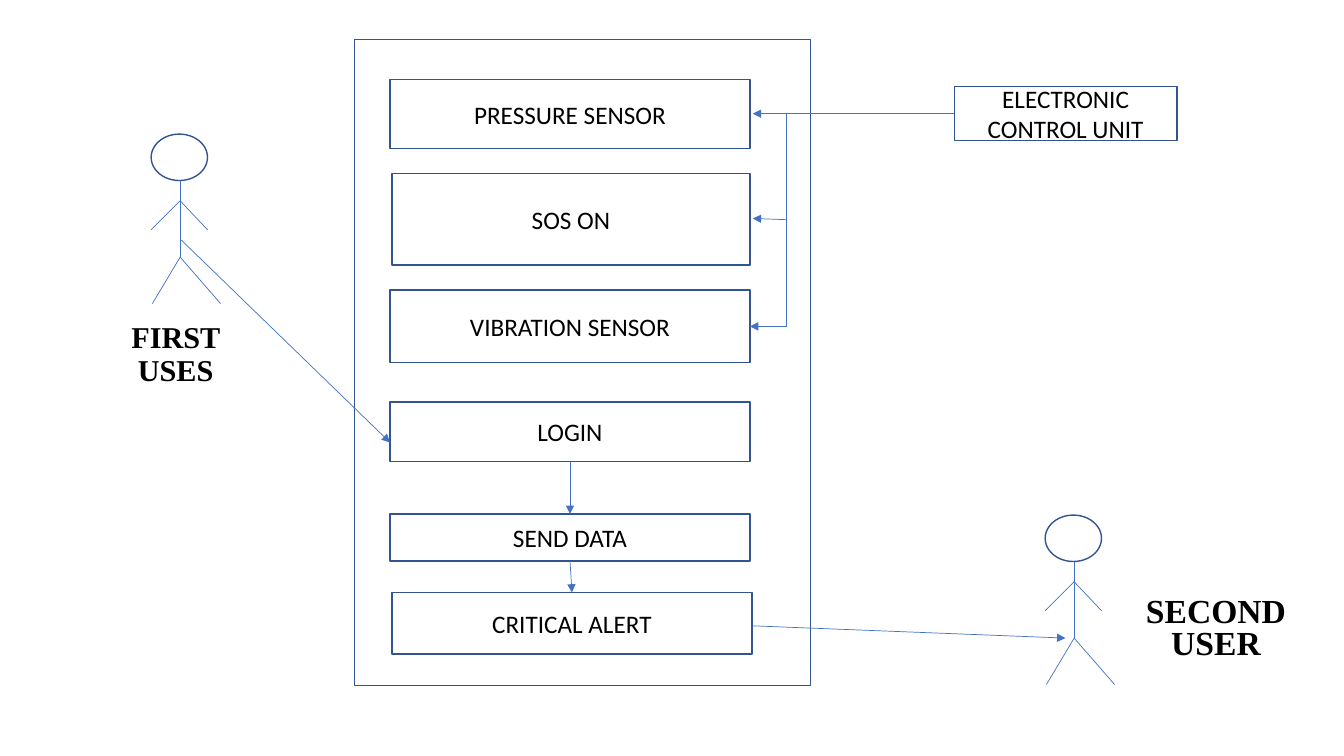
from dataclasses import dataclass
from lxml import etree
from pptx import Presentation
from pptx.dml.color import RGBColor
from pptx.enum.shapes import MSO_CONNECTOR as Link, MSO_SHAPE as Shape
from pptx.enum.text import MSO_ANCHOR as Anchor, MSO_AUTO_SIZE as AutoSize, PP_ALIGN as Align
from pptx.oxml.ns import qn
from pptx.util import Cm, Pt


@dataclass(frozen=True)
class Theme:
    paper: RGBColor = RGBColor(0xFF, 0xFF, 0xFF)
    ink: RGBColor = RGBColor(0, 0, 0)
    outline: RGBColor = RGBColor(0x32, 0x54, 0x91)
    wire: RGBColor = RGBColor(0x44, 0x72, 0xC4)
    outline_width: float = 1
    wire_width: float = 0.5
    step_font: str = "Calibri"
    actor_font: str = "Times New Roman"
    step_size: float = 18
    first_size: float = 21.6
    second_size: float = 24


THEME = Theme()
TOP, LEFT, BOTTOM, RIGHT = range(4)


def write(frame, text, font, size, bold=False, anchor=Anchor.MIDDLE):
    frame.word_wrap = True
    frame.auto_size = AutoSize.NONE
    frame.vertical_anchor = anchor
    para = frame.paragraphs[0]
    para.alignment = Align.CENTER
    span = para.add_run()
    span.text = text
    span.font.name = font
    span.font.size = Pt(size)
    span.font.bold = bold
    span.font.color.rgb = THEME.ink
    return para


def add_outlined(page, kind, box, text=None):
    shape = page.shapes.add_shape(kind, *map(Cm, box))
    shape.shadow.inherit = False
    shape.fill.solid()
    shape.fill.fore_color.rgb = THEME.paper
    shape.line.color.rgb = THEME.outline
    shape.line.width = Pt(THEME.outline_width)
    if text:
        write(shape.text_frame, text, THEME.step_font, THEME.step_size)
    return shape


def add_wire(page, start, end, arrow=False):
    wire = page.shapes.add_connector(Link.STRAIGHT, *map(Cm, (*start, *end)))
    wire.line.color.rgb = THEME.wire
    wire.line.width = Pt(THEME.wire_width)
    if arrow:
        etree.SubElement(wire.line._get_or_add_ln(), qn("a:tailEnd"), type="triangle")
    etree.SubElement(wire._element.spPr, qn("a:effectLst"))
    return wire


def add_corner_arrow(page, start, end):
    middle_x, middle_y = (start[0] + end[0]) / 2, (start[1] + end[1]) / 2
    half_run, half_drop = (start[0] - end[0]) / 2, (end[1] - start[1]) / 2
    wire = add_wire(page, (middle_x - half_drop, middle_y - half_run),
                    (middle_x + half_drop, middle_y + half_run), arrow=True)
    properties = wire._element.spPr
    properties.find(qn("a:xfrm")).set("rot", str(90 * 60000))
    properties.find(qn("a:prstGeom")).set("prst", "bentConnector2")


def add_joined_arrow(page, source, target):
    wire = add_wire(page, (0, 0), (1, 1), arrow=True)
    wire.begin_connect(source, BOTTOM)
    wire.end_connect(target, TOP)


def add_actor(page, left, top):
    head_width, head_height = 1.42, 1.17
    add_outlined(page, Shape.OVAL, (left, top, head_width, head_height))
    spine = 0.73
    neck, shoulder, hip = (spine, head_height), (spine, 1.68), (spine, 3.1)
    limbs = [(neck, hip), (shoulder, (0, 2.41)), (shoulder, (head_width, 2.41)),
             (hip, (0.03, 4.27)), (hip, (1.75, 4.27))]
    for limb in limbs:
        add_wire(page, *[(left + x, top + y) for x, y in limb])


def add_system(page, left, top, width, height):
    add_outlined(page, Shape.RECTANGLE, (left, top, width, height))
    steps = [
        ("PRESSURE SENSOR", 0.89, 1.02, 9.07, 1.73),
        ("SOS ON", 0.94, 3.38, 9.02, 2.31),
        ("VIBRATION SENSOR", 0.89, 6.32, 9.07, 1.83),
        ("LOGIN", 0.89, 9.14, 9.07, 1.5),
        ("SEND DATA", 0.89, 11.96, 9.07, 1.19),
        ("CRITICAL ALERT", 0.94, 13.94, 9.07, 1.55),
    ]
    shapes = [add_outlined(page, Shape.RECTANGLE, (left + x, top + y, w, h), text)
              for text, x, y, w, h in steps]
    login, send, alert = shapes[3:]
    add_joined_arrow(page, login, send)
    add_joined_arrow(page, send, alert)


def add_control_unit(page, left, top, width, height):
    add_outlined(page, Shape.RECTANGLE, (left, top, width, height), "ELECTRONIC CONTROL UNIT")
    level = top + height / 2
    trunk = left - 4.24
    add_wire(page, (left, level), (left - 5.08, level), arrow=True)
    add_corner_arrow(page, (trunk, level), (left - 5.15, level + 5.36))
    add_wire(page, (trunk, level + 2.67), (left - 5.08, level + 2.64), arrow=True)


def add_first_label(page, *box):
    title = page.shapes.title
    title.left, title.top, title.width, title.height = map(Cm, box)
    para = write(title.text_frame, "FIRST USES", THEME.actor_font, THEME.first_size,
                 bold=True, anchor=Anchor.BOTTOM)
    para.line_spacing = 0.9


def add_second_label(page, *box):
    label = page.shapes.add_textbox(*map(Cm, box))
    para = write(label.text_frame, "SECOND USER", THEME.actor_font, THEME.second_size,
                 bold=True, anchor=Anchor.TOP)
    para.line_spacing = 0.8
    para.space_before = Pt(10)


def build_use_case_page(deck):
    page = deck.slides.add_slide(deck.slide_layouts[5])
    page.background.fill.solid()
    page.background.fill.fore_color.rgb = THEME.paper
    add_first_label(page, 2.62, 7.95, 3.61, 1.96)
    add_actor(page, 3.81, 3.38)
    add_system(page, 8.94, 0.99, 11.48, 16.28)
    add_control_unit(page, 24.05, 2.18, 5.61, 1.37)
    add_actor(page, 26.34, 12.98)
    add_second_label(page, 28.5, 14.94, 4.29, 2.03)
    add_wire(page, (4.57, 6.05), (9.83, 11.15), arrow=True)
    add_wire(page, (18.97, 15.77), (26.85, 16.08), arrow=True)


deck = Presentation()
deck.slide_width, deck.slide_height = Cm(33.87), Cm(19.05)
build_use_case_page(deck)
deck.save("out.pptx")
